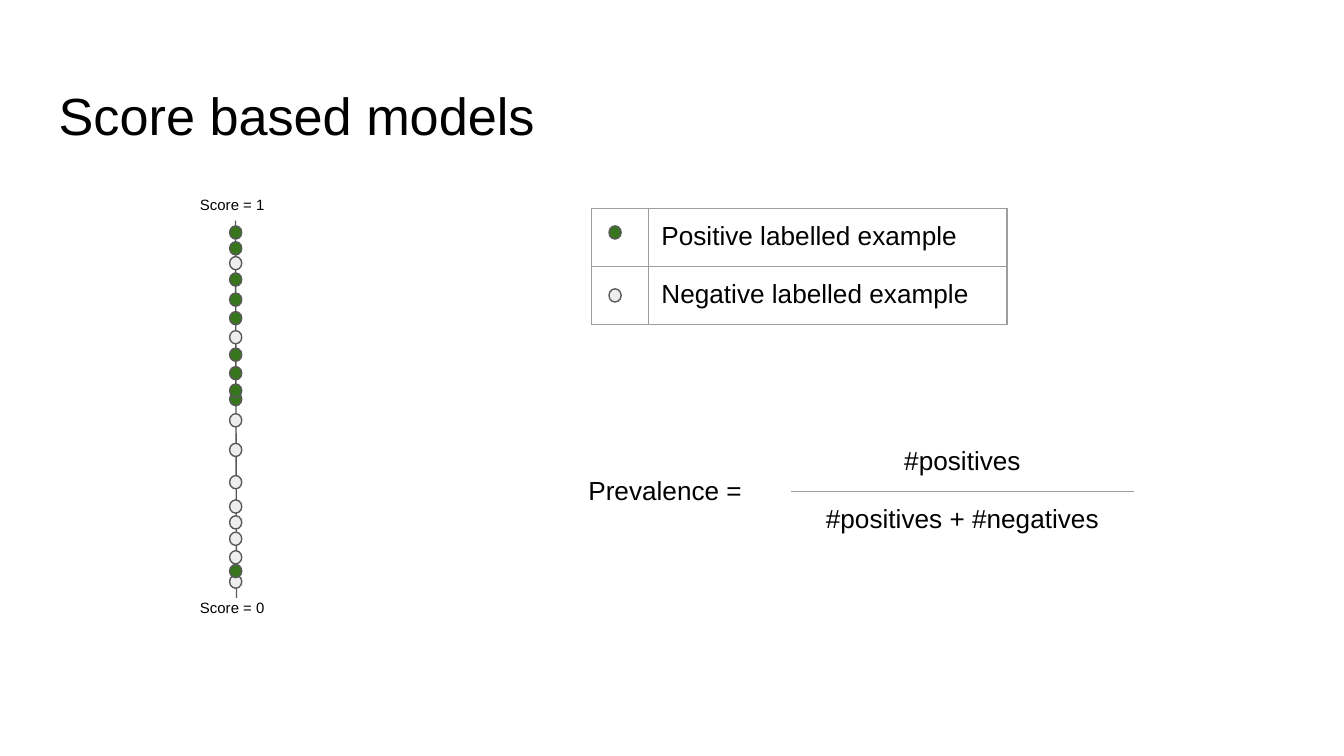
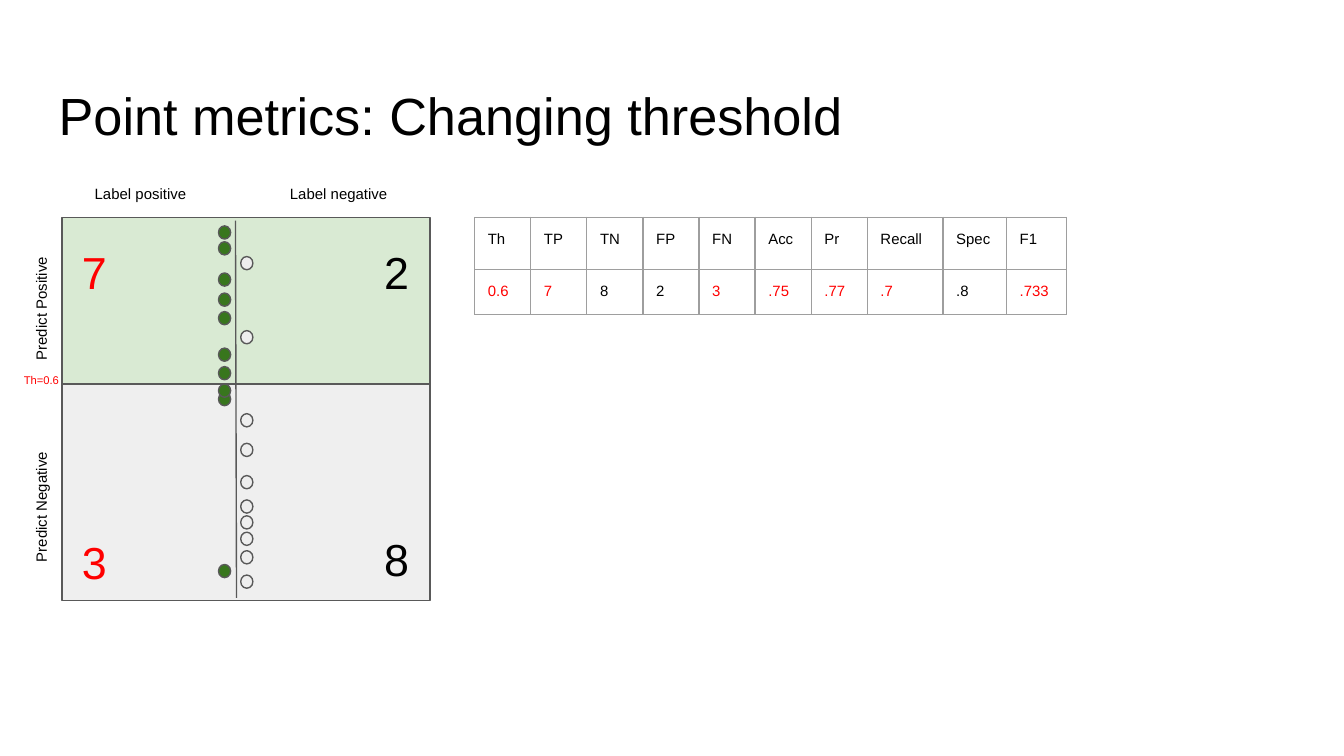
import lxml.etree
import pptx
import pptx.dml.color
import pptx.enum.shapes
import pptx.enum.text
import pptx.oxml.ns
import pptx.util

Cm = pptx.util.Cm
Pt = pptx.util.Pt
RGBColor = pptx.dml.color.RGBColor
Shapes = pptx.enum.shapes.MSO_SHAPE
Align = pptx.enum.text.PP_ALIGN
qn = pptx.oxml.ns.qn

BLACK = RGBColor(0x00, 0x00, 0x00)
RED = RGBColor(0xFF, 0x00, 0x00)
WHITE = RGBColor(0xFF, 0xFF, 0xFF)
OUTLINE = RGBColor(0x59, 0x59, 0x59)
GRID = RGBColor(0x9E, 0x9E, 0x9E)
POSITIVE = RGBColor(0x38, 0x76, 0x1D)
NEGATIVE = RGBColor(0xEE, 0xEE, 0xEE)
PREDICT_POSITIVE = RGBColor(0xD9, 0xEA, 0xD3)
PREDICT_NEGATIVE = RGBColor(0xEF, 0xEF, 0xEF)

FONT = "Arial"
INSET = 0.25
LINE_WIDTH = Pt(0.75)
SIDES = ("L", "R", "T", "B")

NEGATIVE_TOPS = (4.85, 6.25, 7.82, 8.38, 8.99, 9.45, 9.75, 10.06, 10.41, 10.87)
POSITIVE_TOPS = (4.27, 4.57, 5.16, 5.54, 5.89, 6.58, 7.42, 10.67, 6.93, 7.26)

METRICS = (
    ("Th", "0.6", RED, 1.06),
    ("TP", "7", RED, 1.06),
    ("TN", "8", BLACK, 1.06),
    ("FP", "2", BLACK, 1.06),
    ("FN", "3", RED, 1.06),
    ("Acc", ".75", RED, 1.06),
    ("Pr", ".77", RED, 1.06),
    ("Recall", ".7", RED, 1.43),
    ("Spec", ".8", BLACK, 1.2),
    ("F1", ".733", RED, 1.14),
)


def write(paragraph, text, size, color=BLACK, align=Align.LEFT):
    paragraph.alignment = align
    run = paragraph.add_run()
    run.text = text
    run.font.name = FONT
    run.font.size = Pt(size)
    run.font.color.rgb = color


def add_text(slide, text, box, size, color=BLACK, align=Align.LEFT, rotation=0):
    shape = slide.shapes.add_textbox(*map(Cm, box))
    shape.rotation = rotation
    frame = shape.text_frame
    frame.word_wrap = True
    frame.margin_left = frame.margin_right = Cm(INSET)
    frame.margin_top = frame.margin_bottom = Cm(INSET)
    write(frame.paragraphs[0], text, size, color, align)
    return shape


def add_shape(slide, kind, box, fill):
    shape = slide.shapes.add_shape(kind, *map(Cm, box))
    shape.shadow.inherit = False
    shape.fill.solid()
    shape.fill.fore_color.rgb = fill
    shape.line.color.rgb = OUTLINE
    shape.line.width = LINE_WIDTH


def add_dot(slide, left, top, fill):
    add_shape(slide, Shapes.FLOWCHART_CONNECTOR, (left, top, 0.23, 0.25), fill)


def add_score_axis(slide, positive_left, negative_left):
    axis = slide.shapes.add_connector(
        pptx.enum.shapes.MSO_CONNECTOR.STRAIGHT,
        Cm(4.45), Cm(4.17), Cm(4.47), Cm(11.3))
    axis.line.color.rgb = OUTLINE
    axis.line.width = LINE_WIDTH
    lxml.etree.SubElement(axis._element.spPr, qn("a:effectLst"))
    for top in NEGATIVE_TOPS:
        add_dot(slide, negative_left, top, NEGATIVE)
    for top in POSITIVE_TOPS:
        add_dot(slide, positive_left, top, POSITIVE)


def set_borders(cell, visible):
    properties = cell._tc.get_or_add_tcPr()
    for side in SIDES:
        line = lxml.etree.SubElement(properties, qn("a:ln" + side), w=str(LINE_WIDTH))
        if side in visible:
            fill = lxml.etree.SubElement(line, qn("a:solidFill"))
            lxml.etree.SubElement(fill, qn("a:srgbClr"), val=str(GRID))
        else:
            lxml.etree.SubElement(line, qn("a:noFill"))


def add_table(slide, left, top, widths, heights, rows, size,
              align=Align.LEFT, borders=(SIDES, SIDES)):
    table = slide.shapes.add_table(
        len(heights), len(widths), Cm(left), Cm(top),
        Cm(sum(widths)), Cm(sum(heights))).table
    table.first_row = table.horz_banding = False
    for column, width in zip(table.columns, widths):
        column.width = Cm(width)
    for row, height, contents, visible in zip(table.rows, heights, rows, borders):
        row.height = Cm(height)
        for cell, (text, color) in zip(row.cells, contents):
            cell.margin_left = cell.margin_right = Cm(INSET)
            cell.margin_top = cell.margin_bottom = Cm(INSET)
            set_borders(cell, visible)
            cell.fill.background()
            paragraph = cell.text_frame.paragraphs[0]
            if text:
                write(paragraph, text, size, color, align)
            else:
                lxml.etree.SubElement(
                    paragraph._p, qn("a:endParaRPr"), sz=str(size * 100))


def add_slide(presentation, title):
    slide = presentation.slides.add_slide(presentation.slide_layouts[6])
    slide.background.fill.solid()
    slide.background.fill.fore_color.rgb = WHITE
    frame = add_text(slide, title, (0.86, 1.24, 23.67, 1.6), 28).text_frame
    frame.margin_top = Cm(0.34)
    frame.margin_bottom = 0
    return slide


def build_score_slide(presentation):
    slide = add_slide(presentation, "Score based models")
    add_score_axis(slide, 4.34, 4.34)
    for text, top in (("Score = 1", 3.53), ("Score = 0", 11.15)):
        add_text(slide, text, (3.53, top, 3.25, 0.33), 8)

    add_table(slide, 11.18, 3.94, (1.07, 6.78), (1.1, 1.07),
              ((("", BLACK), ("Positive labelled example", BLACK)),
               (("", BLACK), ("Negative labelled example", BLACK))), 14)
    add_dot(slide, 11.51, 4.27, POSITIVE)
    add_dot(slide, 11.51, 5.46, NEGATIVE)

    add_text(slide, "Prevalence =", (10.87, 8.71, 6.86, 0.81), 14)
    add_table(slide, 14.94, 8.2, (6.5,), (1.07, 1.07),
              ((("#positives", BLACK),), (("#positives + #negatives", BLACK),)),
              14, Align.CENTER, ("B", "T"))


def build_threshold_slide(presentation):
    slide = add_slide(presentation, "Point metrics: Changing threshold")
    add_shape(slide, Shapes.RECTANGLE, (1.17, 7.26, 6.96, 4.09), PREDICT_NEGATIVE)
    add_shape(slide, Shapes.RECTANGLE, (1.17, 4.11, 6.96, 3.15), PREDICT_POSITIVE)
    add_score_axis(slide, 4.13, 4.55)

    for text, left in (("Label positive", 1.54), ("Label negative", 5.23)):
        add_text(slide, text, (left, 3.33, 3.2, 0.33), 8)
    for text, middle in (("Predict Positive", 5.83), ("Predict Negative", 9.58)):
        add_text(slide, text, (-0.99, middle - 0.16, 3.2, 0.33), 8,
                 align=Align.CENTER, rotation=270)

    for text, left, top, color in (
            ("7", 1.3, 4.37, RED), ("2", 7.01, 4.37, BLACK),
            ("3", 1.3, 9.86, RED), ("8", 7.01, 9.8, BLACK)):
        add_text(slide, text, (left, top, 0.85, 1.02), 24, color)
    add_text(slide, "Th=0.6", (0.2, 6.93, 1.27, 0.69), 6, RED)

    left = 8.97
    for name, value, color, width in METRICS:
        add_table(slide, left, 4.11, (width,), (0.99, 0.83),
                  (((name, BLACK),), ((value, color),)), 8)
        left += width


def main():
    presentation = pptx.Presentation()
    presentation.slide_width = Cm(25.4)
    presentation.slide_height = Cm(14.29)
    build_score_slide(presentation)
    build_threshold_slide(presentation)
    presentation.save("out.pptx")


main()
